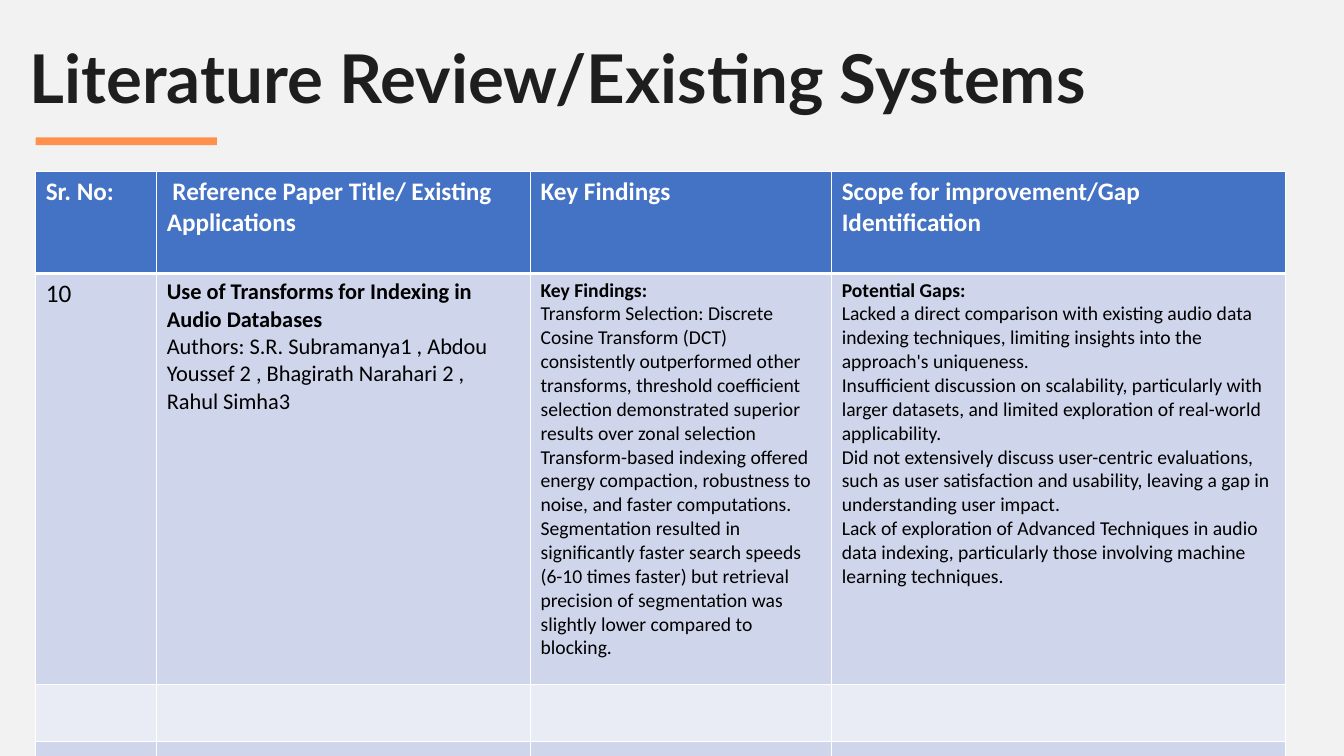
from dataclasses import dataclass

import lxml.etree
import pptx
import pptx.dml.color
import pptx.enum.shapes
import pptx.oxml.ns
import pptx.slide
import pptx.table
import pptx.text.text
import pptx.util
from pptx.util import Cm


@dataclass(frozen=True)
class Theme:
    background: str = "F2F2F2"
    title: str = "1E1E1E"
    accent: str = "FF914D"
    header: str = "4472C4"
    bands: tuple[str, str] = ("CFD5EA", "E9EBF5")
    light: str = "FFFFFF"
    dark: str = "000000"
    title_font: str = "Lato"
    body_font: str = "Calibri"
    title_size: float = 48
    table_size: float = 18
    paper_size: float = 16
    detail_size: float = 14
    border: float = 0.96
    header_border: float = 3


@dataclass(frozen=True)
class Column:
    width: float
    heading: str
    size: float
    lead: str = ""
    lines: tuple[str, ...] = ()


THEME = Theme()
ROW_HEIGHTS = (2.57, 10.35, 1.45, 1.45)
COLUMNS = (
    Column(3.05, "Sr. No:", THEME.table_size, lines=("10",)),
    Column(
        9.42, " Reference Paper Title/ Existing Applications", THEME.paper_size,
        "Use of Transforms for Indexing in Audio Databases",
        ("Authors: S.R. Subramanya1 , Abdou Youssef 2 , Bhagirath Narahari 2 , "
         "Rahul Simha3",),
    ),
    Column(
        7.59, "Key Findings", THEME.detail_size, "Key Findings:",
        ("Transform Selection: Discrete Cosine Transform (DCT) consistently "
         "outperformed other transforms, threshold coefficient selection "
         "demonstrated superior results over zonal selection",
         "Transform-based indexing offered energy compaction, robustness to noise, "
         "and faster computations.",
         "Segmentation resulted in significantly faster search speeds (6-10 times "
         "faster) but retrieval precision of segmentation was slightly lower "
         "compared to blocking."),
    ),
    Column(
        11.43, "Scope for improvement/Gap Identification", THEME.detail_size,
        "Potential Gaps:",
        ("Lacked a direct comparison with existing audio data indexing techniques, "
         "limiting insights into the approach's uniqueness.",
         "Insufficient discussion on scalability, particularly with larger datasets, "
         "and limited exploration of real-world applicability.",
         "Did not extensively discuss user-centric evaluations, such as user "
         "satisfaction and usability, leaving a gap in understanding user impact.",
         "Lack of exploration of Advanced Techniques in audio data indexing, "
         "particularly those involving machine learning techniques."),
    ),
)


def rgb(color: str) -> pptx.dml.color.RGBColor:
    return pptx.dml.color.RGBColor.from_string(color)


def set_font(p: pptx.text.text._Paragraph, name: str, size: float, color: str,
             bold: bool) -> None:
    p.font.name = name
    p.font.size = pptx.util.Pt(size)
    p.font.color.rgb = rgb(color)
    p.font.bold = bold


def write_lines(tf: pptx.text.text.TextFrame, lines: list[tuple[str, bool]],
                size: float, color: str) -> None:
    for i, (text, bold) in enumerate(lines):
        p = tf.add_paragraph() if i else tf.paragraphs[0]
        p.text = text
        set_font(p, THEME.body_font, size, color, bold)


def style_cell(cell: pptx.table._Cell, row: int) -> None:
    qn = pptx.oxml.ns.qn
    widths = dict.fromkeys(("lnL", "lnR", "lnT", "lnB"), THEME.border)
    if row == 0:
        widths["lnB"] = THEME.header_border
    elif row == 1:
        del widths["lnT"]
    properties = cell._tc.get_or_add_tcPr()
    for edge, width in widths.items():
        line = lxml.etree.SubElement(properties, qn(f"a:{edge}"),
                                     w=str(int(pptx.util.Pt(width))))
        fill = lxml.etree.SubElement(line, qn("a:solidFill"))
        lxml.etree.SubElement(fill, qn("a:srgbClr"), val=THEME.light)
    cell.fill.solid()
    cell.fill.fore_color.rgb = rgb(THEME.bands[(row - 1) % 2] if row else THEME.header)


def add_title(s: pptx.slide.Slide, text: str) -> None:
    sp = s.shapes.add_textbox(Cm(0.5), Cm(0.79), Cm(32.97), Cm(2.29))
    tf = sp.text_frame
    tf.word_wrap = True
    p = tf.paragraphs[0]
    p.text = text
    set_font(p, THEME.title_font, THEME.title_size, THEME.title, True)


def add_accent(s: pptx.slide.Slide) -> None:
    sp = s.shapes.add_shape(pptx.enum.shapes.MSO_SHAPE.RECTANGLE,
                            Cm(0.9), Cm(3.46), Cm(4.57), Cm(0.2))
    sp.shadow.inherit = False
    sp.fill.solid()
    sp.fill.fore_color.rgb = rgb(THEME.accent)
    sp.line.fill.background()


def add_review_table(s: pptx.slide.Slide) -> None:
    width = sum(column.width for column in COLUMNS)
    table = s.shapes.add_table(len(ROW_HEIGHTS), len(COLUMNS), Cm(0.9), Cm(4.32),
                               Cm(width), Cm(sum(ROW_HEIGHTS))).table
    for row, height in zip(table.rows, ROW_HEIGHTS):
        row.height = Cm(height)
    for c, column in enumerate(COLUMNS):
        table.columns[c].width = Cm(column.width)
        for r in range(len(ROW_HEIGHTS)):
            style_cell(table.cell(r, c), r)
        write_lines(table.cell(0, c).text_frame, [(column.heading, True)],
                    THEME.table_size, THEME.light)
        lead = [(column.lead, True)] if column.lead else []
        write_lines(table.cell(1, c).text_frame,
                    lead + [(text, False) for text in column.lines],
                    column.size, THEME.dark)


def main() -> None:
    prs = pptx.Presentation()
    prs.slide_width, prs.slide_height = Cm(33.87), Cm(19.05)
    s = prs.slides.add_slide(prs.slide_layouts[6])
    s.background.fill.solid()
    s.background.fill.fore_color.rgb = rgb(THEME.background)
    add_title(s, "Literature Review/Existing Systems")
    add_accent(s)
    add_review_table(s)
    prs.save("out.pptx")


if __name__ == "__main__":
    main()
